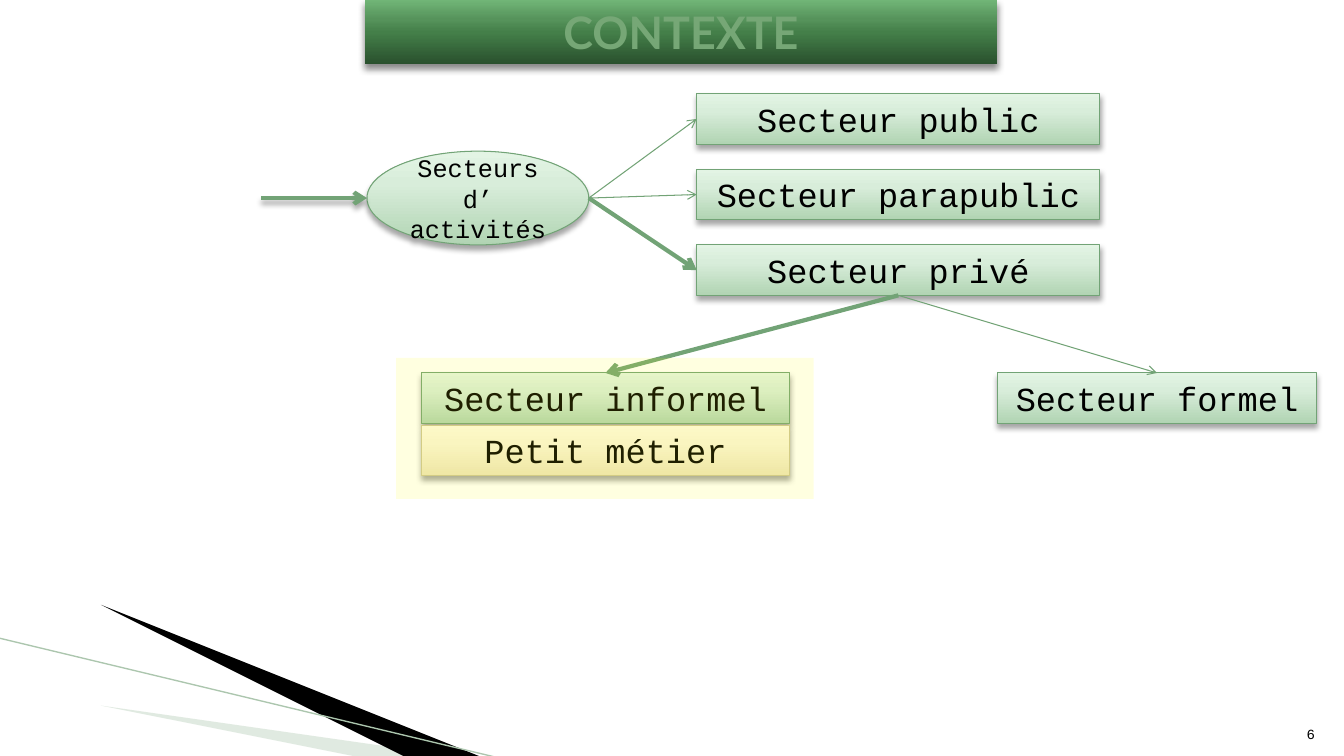
"""Build the CONTEXTE slide: a tree of activity sectors with green boxes and arrows."""
from lxml import etree
from pptx import Presentation
from pptx.dml.color import RGBColor
from pptx.enum.shapes import MSO_CONNECTOR, MSO_SHAPE
from pptx.enum.text import MSO_ANCHOR, MSO_AUTO_SIZE, PP_ALIGN
from pptx.oxml.ns import qn
from pptx.util import Inches, Pt

STRAIGHT = MSO_CONNECTOR.STRAIGHT
RECTANGLE, OVAL = MSO_SHAPE.RECTANGLE, MSO_SHAPE.OVAL
TOP, MIDDLE, BOTTOM = MSO_ANCHOR.TOP, MSO_ANCHOR.MIDDLE, MSO_ANCHOR.BOTTOM
CENTER, RIGHT = PP_ALIGN.CENTER, PP_ALIGN.RIGHT
GROW = MSO_AUTO_SIZE.SHAPE_TO_FIT_TEXT
SIDE_TOP, SIDE_LEFT, SIDE_BOTTOM = 0, 1, 2

THEME = {
    "body_font": "Courier New", "title_font": "Lato",
    "title_size": 32, "box_size": 24, "oval_size": 18, "number_size": 10,
    "text": "000000", "title": "76A776", "wedge": "000000",
    "pale_wedge": "B3CBB5", "edge": "ACC6AE", "highlight": "FFFF00",
    "green_line": "72A376", "sand_line": "CEC597",
    "banner": [(0, "29502D"), (50, "447F49"), (70, "56935B"), (100, "71B577")],
    "green": [(0, "B1D4B3"), (65, "D8EDDA"), (100, "E3F4E4")],
    "sand": [(0, "EDE4BC"), (65, "FAF4DB"), (100, "FDF9E4")],
    "thin": 0.75, "thick": 3,
    "box_shadow": (35, 4), "banner_shadow": (45, 5),
}

TITLE, TITLE_PLACE = "CONTEXTE", (3.62, 0, 6.27, 0.64)
ACTIVITIES, ACTIVITIES_PLACE = "Secteurs d’ activités", (3.64, 1.5, 2.2, 0.93)
PAGE_NUMBER, NUMBER_PLACE = "6", (12.61, 7.01, 0.53, 0.4)
BOX_HEIGHT = 0.5
SECTORS = ["Secteur public", "Secteur parapublic", "Secteur privé"]
SECTOR_LEFT, SECTOR_TOP, SECTOR_STEP, SECTOR_WIDTH = 6.91, 0.93, 0.75, 4
BRANCHES = [
    ("Secteur informel", 4.18, 3.7, 3.65, "green"),
    ("Petit métier", 4.18, 4.22, 3.65, "sand"),
    ("Secteur formel", 9.89, 3.7, 3.17, "green"),
]
EMPHASISED = {"Secteur privé", "Secteur informel"}
ENTRY_LEFT = 2.59
HIGHLIGHT_PLACE = (3.93, 3.55, 4.14, 1.4)
WEDGES = [
    ([(0.73, 6.51), (7.93, 7.51), (6.08, 7.51)], "pale_wedge", 40),
    ([(0.71, 6.49), (6.09, 7.51), (4.96, 7.51)], "wedge", 100),
]
EDGE = ((-0.01, 6.33), (4.95, 7.52))

prs = Presentation()
prs.slide_width, prs.slide_height = Inches(13.33), Inches(7.5)
slide = prs.slides.add_slide(prs.slide_layouts[6])
shapes = slide.shapes


def color(name):
    return RGBColor.from_string(THEME[name])


def add_alpha(parent, percent):
    etree.SubElement(parent, qn("a:alpha"), val=str(percent * 1000))


def add_shadow(effects, opacity, blur):
    outer = etree.SubElement(
        effects, qn("a:outerShdw"), blurRad=str(Pt(blur)), dist=str(Pt(3)),
        dir="5400000", rotWithShape="0")
    add_alpha(etree.SubElement(outer, qn("a:srgbClr"), val="000000"), opacity)


def fill_solid(shape, name, opacity=100):
    shape.shadow.inherit = False
    shape.fill.solid()
    shape.fill.fore_color.rgb = color(name)
    shape.line.fill.background()
    if opacity < 100:
        add_alpha(next(shape.element.spPr.iter(qn("a:srgbClr"))), opacity)


def fill_gradient(shape, stops):
    shape.fill.gradient()
    shape.fill.gradient_angle = 90
    stop_list = next(shape.element.spPr.iter(qn("a:gsLst")))
    stop_list.clear()
    for position, rgb in stops:
        stop = etree.SubElement(stop_list, qn("a:gs"), pos=str(position * 1000))
        etree.SubElement(stop, qn("a:srgbClr"), val=rgb)


def write(shape, text, *, size, font="body_font", ink="text", bold=False,
          align=CENTER, anchor=TOP, grow=False):
    frame = shape.text_frame
    frame.word_wrap = True
    frame.vertical_anchor = anchor
    if grow:
        frame.auto_size = GROW
    paragraph = frame.paragraphs[0]
    paragraph.alignment = align
    run = paragraph.add_run()
    run.text = text
    run.font.name, run.font.size = THEME[font], Pt(THEME[size])
    run.font.bold = bold
    run.font.color.rgb = color(ink)


def add_box(text, place, *, fill="green", line="green_line", preset=RECTANGLE,
            shadow="box_shadow", **text_format):
    box = shapes.add_shape(preset, *map(Inches, place))
    fill_gradient(box, THEME[fill])
    if line:
        box.line.color.rgb = color(line)
        box.line.width = Pt(THEME["thin"])
    else:
        box.line.fill.background()
    box.shadow.inherit = False
    add_shadow(box.element.spPr.find(qn("a:effectLst")), *THEME[shadow])
    write(box, text, **text_format)
    return box


def add_line(start, end, *, ink="green_line", width=THEME["thin"], arrow=True,
             shadow=False):
    line = shapes.add_connector(STRAIGHT, *map(Inches, (*start, *end)))
    line.line.color.rgb = color(ink)
    line.line.width = Pt(width)
    properties = line.element.spPr
    if arrow:
        etree.SubElement(properties.find(qn("a:ln")), qn("a:tailEnd"), type="arrow")
    effects = etree.SubElement(properties, qn("a:effectLst"))
    if shadow:
        add_shadow(effects, *THEME["box_shadow"])
    return line


def weight(sector):
    return THEME["thick" if sector in EMPHASISED else "thin"]


for corners, ink, opacity in WEDGES:
    builder = shapes.build_freeform(*corners[0], scale=Inches(1))
    builder.add_line_segments(corners[1:], close=True)
    fill_solid(builder.convert_to_shape(), ink, opacity)
add_line(*EDGE, ink="edge", width=0.95, arrow=False)

add_box(TITLE, TITLE_PLACE, fill="banner", line=None, shadow="banner_shadow",
        size="title_size", font="title_font", ink="title", bold=True, grow=True)
page_number = shapes.add_textbox(*map(Inches, NUMBER_PLACE))
write(page_number, PAGE_NUMBER, size="number_size", align=RIGHT, anchor=BOTTOM)

add_box(ACTIVITIES, ACTIVITIES_PLACE, preset=OVAL, size="oval_size", anchor=MIDDLE)
oval_left, oval_top, oval_width, oval_height = ACTIVITIES_PLACE
oval_middle = oval_top + oval_height / 2
oval_right = (oval_left + oval_width, oval_middle)
add_line((ENTRY_LEFT, oval_middle), (oval_left, oval_middle),
         width=THEME["thick"], shadow=True)

boxes = {}
for row, sector in enumerate(SECTORS):
    place = (SECTOR_LEFT, SECTOR_TOP + row * SECTOR_STEP, SECTOR_WIDTH, BOX_HEIGHT)
    boxes[sector] = add_box(sector, place, size="box_size", grow=True)
for branch, left, top, width, tone in BRANCHES:
    boxes[branch] = add_box(branch, (left, top, width, BOX_HEIGHT), fill=tone,
                            line=f"{tone}_line", size="box_size", grow=True)

for sector in SECTORS:
    arrow = add_line(oval_right, oval_right, width=weight(sector))
    arrow.end_connect(boxes[sector], SIDE_LEFT)
for branch in ("Secteur informel", "Secteur formel"):
    arrow = add_line(oval_right, oval_right, width=weight(branch))
    arrow.begin_connect(boxes["Secteur privé"], SIDE_BOTTOM)
    arrow.end_connect(boxes[branch], SIDE_TOP)

highlight = shapes.add_shape(RECTANGLE, *map(Inches, HIGHLIGHT_PLACE))
fill_solid(highlight, "highlight", 12)

prs.save("out.pptx")
